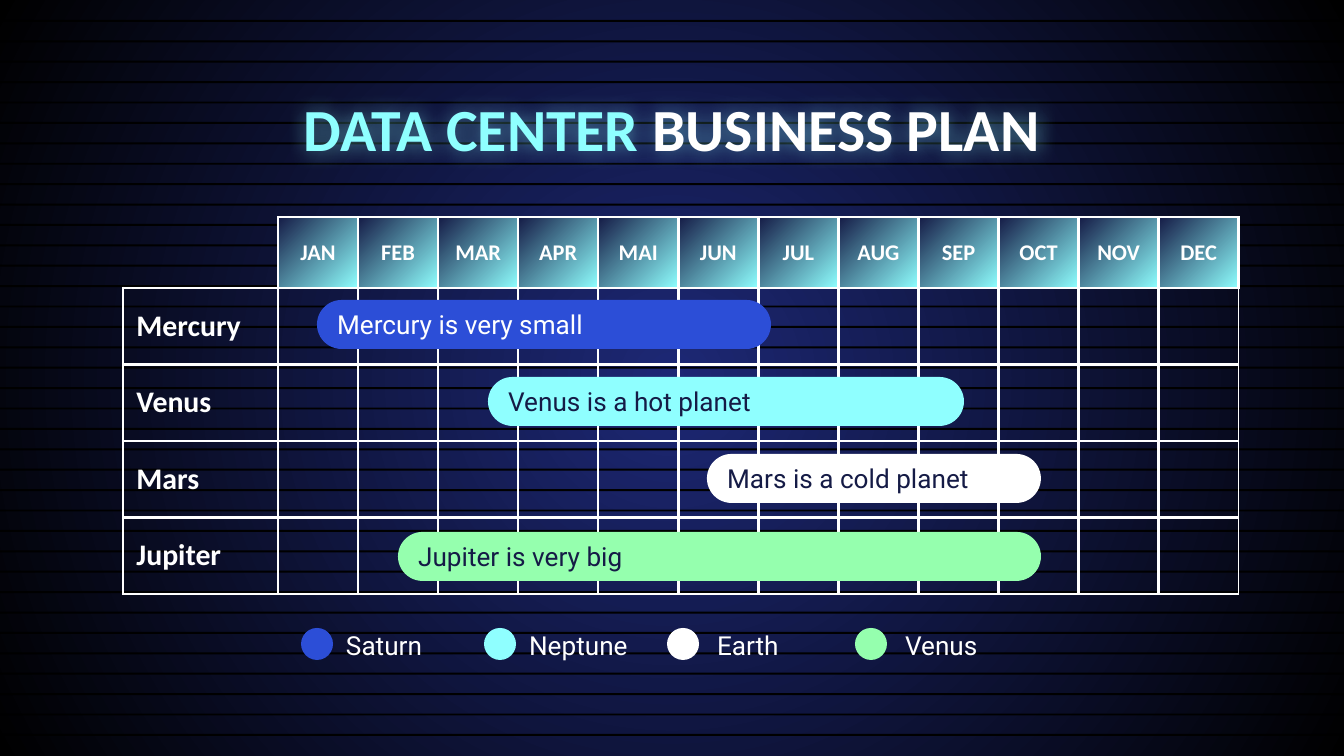
from dataclasses import dataclass

from pptx import Presentation
from pptx.dml.color import RGBColor
from pptx.dml.fill import FillFormat
from pptx.enum.shapes import MSO_SHAPE
from pptx.enum.text import MSO_ANCHOR, PP_ALIGN
from pptx.oxml import parse_xml
from pptx.oxml.ns import nsdecls
from pptx.shapes.autoshape import Shape
from pptx.slide import Slide
from pptx.table import _Cell
from pptx.text.text import TextFrame
from pptx.util import Emu, Pt

COLORS = {
    "night": "1D2875", "black": "000000", "navy": "151B46", "white": "FFFFFF",
    "blue": "2C4ED7", "aqua": "8FFFFF", "green": "95FFAE",
}
HEADING_FONT, BODY_FONT = "Calibri", "Roboto"
PAGE_WIDTH, PAGE_HEIGHT = 1344, 756
INSET = 13
STRIPE_COUNT, STRIPE_TOP, STRIPE_SPAN, STRIPE_HEIGHT = 36, 20, 714, 2
TABLE_LEFT, TABLE_TOP, LABEL_WIDTH, MONTHS_WIDTH = 123, 217, 155, 961
HEADER_HEIGHT, BODY_HEIGHT = 71, 306
MONTHS = ["JAN", "FEB", "MAR", "APR", "MAI", "JUN",
          "JUL", "AUG", "SEP", "OCT", "NOV", "DEC"]
PLANETS = ["Mercury", "Venus", "Mars", "Jupiter"]
BARS_TOP, BARS_SPAN, BAR_HEIGHT = 300, 232, 49
DOT_TOP, DOT_SIZE = 628, 32
LABEL_TOP, LABEL_BOX_WIDTH, LABEL_BOX_HEIGHT = 621, 150, 44


@dataclass
class Bar:
    text: str
    left: int
    width: int
    fill: str
    ink: str = "navy"


@dataclass
class LegendItem:
    text: str
    dot_left: int
    label_left: int
    fill: str


BARS = [
    Bar("Mercury is very small", 317, 454, "blue", "white"),
    Bar("Venus is a hot planet", 488, 476, "aqua"),
    Bar("Mars is a cold planet", 707, 334, "white"),
    Bar("Jupiter is very big", 398, 643, "green"),
]
LEGEND = [
    LegendItem("Saturn", 301, 333, "blue"),
    LegendItem("Neptune", 484, 516, "aqua"),
    LegendItem("Earth", 667, 704, "white"),
    LegendItem("Venus", 855, 892, "green"),
]


def px(length: float) -> Emu:
    return Emu(round(length * 9144000 / PAGE_WIDTH))


def rgb(name: str) -> RGBColor:
    return RGBColor.from_string(COLORS[name])


def write_text(frame: TextFrame, *texts: str, inks: tuple = ("white",), size: int = 14,
               font: str = BODY_FONT, bold: bool = False, align=PP_ALIGN.LEFT,
               anchor=MSO_ANCHOR.MIDDLE, spacing: float = 1.0,
               right_inset: int = INSET) -> None:
    frame.word_wrap = True
    frame.vertical_anchor = anchor
    frame.margin_left = frame.margin_top = frame.margin_bottom = px(INSET)
    frame.margin_right = px(right_inset)
    para = frame.paragraphs[0]
    para.alignment, para.line_spacing = align, spacing
    for text, ink in zip(texts, inks):
        span = para.add_run()
        span.text = text
        span.font.name, span.font.size, span.font.bold = font, Pt(size), bold
        span.font.color.rgb = rgb(ink)


def add_solid(page: Slide, kind: MSO_SHAPE, left: float, top: float,
              width: float, height: float, fill: str) -> Shape:
    shape = page.shapes.add_shape(kind, px(left), px(top), px(width), px(height))
    shape.shadow.inherit = False
    shape.fill.solid()
    shape.fill.fore_color.rgb = rgb(fill)
    shape.line.fill.background()
    return shape


def set_gradient(fill: FillFormat, start: str, end: str) -> None:
    fill.gradient()
    fill.gradient_angle = 315
    for stop, name in zip(fill.gradient_stops, (start, end)):
        stop.color.rgb = rgb(name)


def set_borders(cell: _Cell, **widths: float) -> None:
    """Widths are points by side; zero hides the side."""
    properties = cell._tc.get_or_add_tcPr()
    for side in "LRTB":
        width = widths.get(side, 1.5)
        paint = (f'<a:solidFill><a:srgbClr val="{COLORS["white"]}"/></a:solidFill>'
                 if width else "<a:noFill/>")
        properties.append(parse_xml(
            f'<a:ln{side} {nsdecls("a")} w="{Pt(width)}">{paint}</a:ln{side}>'))


def draw_background(page: Slide) -> None:
    set_gradient(page.background.fill, "night", "black")
    linear = page.element.xpath(".//p:bgPr//a:lin")[0]
    linear.getparent().replace(linear, parse_xml(
        f'<a:path {nsdecls("a")} path="circle">'
        '<a:fillToRect l="50000" t="50000" r="50000" b="50000"/></a:path>'))
    for index in range(STRIPE_COUNT):
        top = STRIPE_TOP + STRIPE_SPAN * index / (STRIPE_COUNT - 1)
        add_solid(page, MSO_SHAPE.RECTANGLE, 0, top, PAGE_WIDTH, STRIPE_HEIGHT, "black")


def draw_title(page: Slide) -> None:
    title = page.shapes.title
    title.left, title.top, title.width, title.height = px(105), px(79), px(1134), px(83)
    write_text(title.text_frame, "DATA CENTER ", "BUSINESS PLAN", inks=("aqua", "white"),
               size=32, font=HEADING_FONT, bold=True, align=PP_ALIGN.CENTER,
               anchor=MSO_ANCHOR.TOP)
    # Soft aqua halo around the letters
    title.element.spPr.append(parse_xml(
        f'<a:effectLst {nsdecls("a")}><a:outerShdw blurRad="{px(20)}" algn="bl" '
        f'rotWithShape="0"><a:srgbClr val="{COLORS["aqua"]}"><a:alpha val="50000"/>'
        '</a:srgbClr></a:outerShdw></a:effectLst>'))
    # Keep the title in front of the stripes
    page.shapes._spTree.append(title.element)


def draw_table(page: Slide) -> None:
    rows, columns = len(PLANETS) + 1, len(MONTHS) + 1
    table = page.shapes.add_table(
        rows, columns, px(TABLE_LEFT), px(TABLE_TOP),
        px(LABEL_WIDTH + MONTHS_WIDTH), px(HEADER_HEIGHT + BODY_HEIGHT)).table
    table.first_row = table.horz_banding = False
    for index, column in enumerate(table.columns):
        column.width = px(MONTHS_WIDTH / len(MONTHS) if index else LABEL_WIDTH)
    for index, row in enumerate(table.rows):
        row.height = px(BODY_HEIGHT / len(PLANETS) if index else HEADER_HEIGHT)
    for row in range(rows):
        for column in range(columns):
            cell = table.cell(row, column)
            if row == 0 and column == 0:
                set_borders(cell, L=0, T=0)
            elif row == 0:
                set_borders(cell, T=0.75)
            else:
                set_borders(cell, L=1.5 if column else 0.75,
                            R=1.5 if column < columns - 1 else 0.75)
            cell.fill.background()
    for column, month in enumerate(MONTHS, 1):
        cell = table.cell(0, column)
        set_gradient(cell.fill, "navy", "aqua")
        cell.vertical_anchor = MSO_ANCHOR.MIDDLE
        write_text(cell.text_frame, month, size=12, font=HEADING_FONT, bold=True,
                   align=PP_ALIGN.CENTER)
    for row, planet in enumerate(PLANETS, 1):
        cell = table.cell(row, 0)
        cell.vertical_anchor = MSO_ANCHOR.MIDDLE
        write_text(cell.text_frame, planet, size=16, font=HEADING_FONT, bold=True)


def draw_bars(page: Slide) -> None:
    for index, bar in enumerate(BARS):
        top = BARS_TOP + BARS_SPAN * index // (len(BARS) - 1)
        box = add_solid(page, MSO_SHAPE.ROUNDED_RECTANGLE, bar.left, top,
                        bar.width, BAR_HEIGHT, bar.fill)
        box.adjustments[0] = 0.5
        write_text(box.text_frame, bar.text, inks=(bar.ink,))


def draw_legend(page: Slide) -> None:
    for item in LEGEND:
        add_solid(page, MSO_SHAPE.OVAL, item.dot_left, DOT_TOP, DOT_SIZE, DOT_SIZE, item.fill)
        box = page.shapes.add_textbox(px(item.label_left), px(LABEL_TOP),
                                      px(LABEL_BOX_WIDTH), px(LABEL_BOX_HEIGHT))
        write_text(box.text_frame, item.text, spacing=1.15, right_inset=0)


def main() -> None:
    deck = Presentation()
    deck.slide_width, deck.slide_height = px(PAGE_WIDTH), px(PAGE_HEIGHT)
    page = deck.slides.add_slide(deck.slide_layouts[5])
    draw_background(page)
    draw_title(page)
    draw_table(page)
    draw_bars(page)
    draw_legend(page)
    deck.save("out.pptx")


if __name__ == "__main__":
    main()
